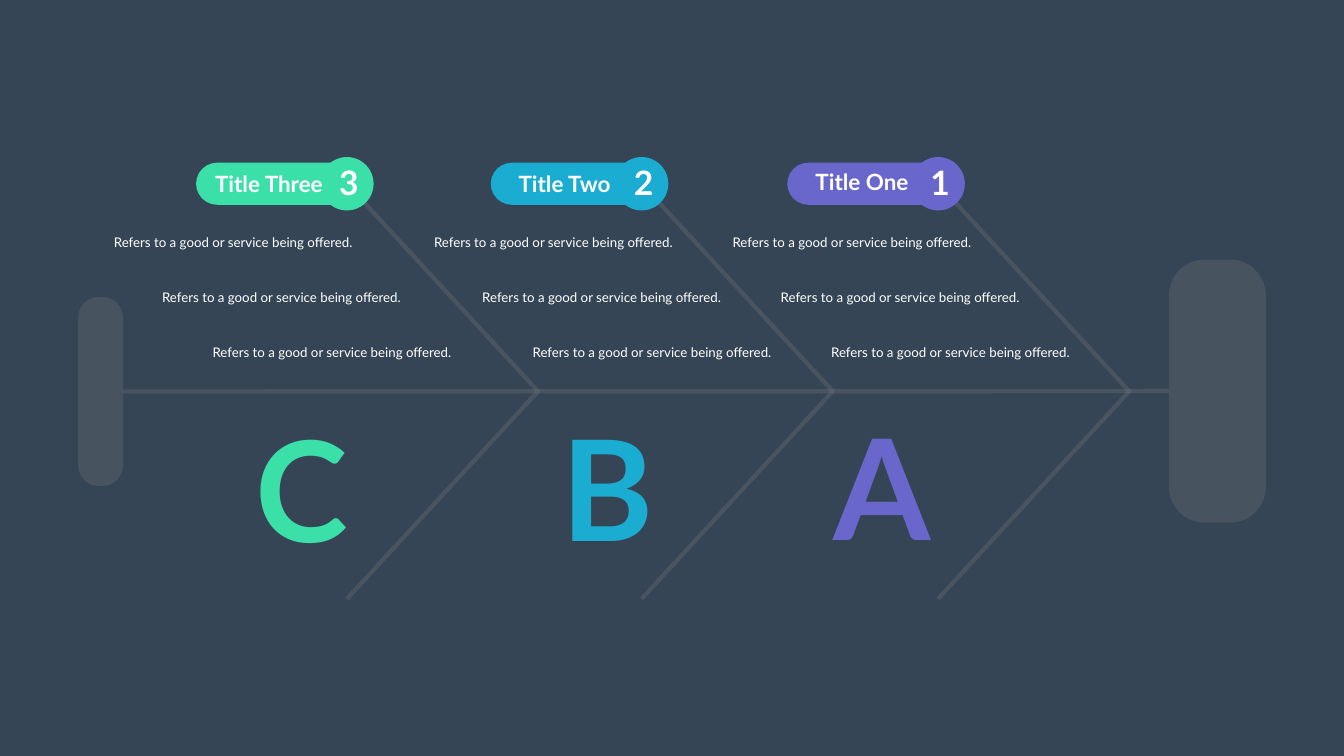
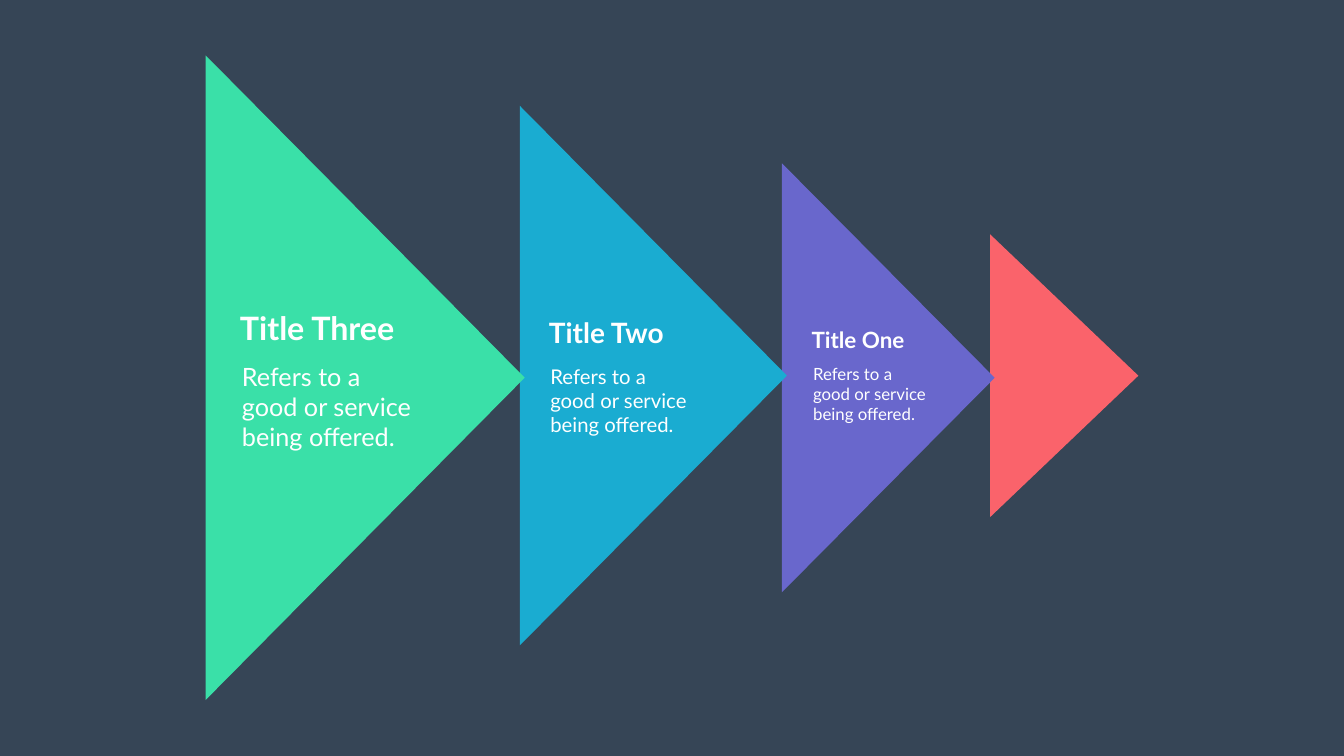
from lxml import etree
from pptx import Presentation
from pptx.dml.color import RGBColor
from pptx.enum.shapes import MSO_CONNECTOR, MSO_SHAPE
from pptx.enum.text import MSO_AUTO_SIZE, PP_ALIGN
from pptx.oxml.ns import qn
from pptx.util import Cm, Pt

STRAIGHT = MSO_CONNECTOR.STRAIGHT
ROUNDED = MSO_SHAPE.ROUNDED_RECTANGLE
OVAL = MSO_SHAPE.OVAL
FIT_TEXT = MSO_AUTO_SIZE.SHAPE_TO_FIT_TEXT
LEFT, CENTER = PP_ALIGN.LEFT, PP_ALIGN.CENTER

NAVY = RGBColor(0x36, 0x45, 0x56)
GREEN = RGBColor(0x3A, 0xE0, 0xA8)
BLUE = RGBColor(0x1A, 0xAC, 0xD1)
PURPLE = RGBColor(0x69, 0x67, 0xCC)
RED = RGBColor(0xFA, 0x63, 0x6B)
GRAY = RGBColor(0x80, 0x80, 0x80)
WHITE = RGBColor(0xFF, 0xFF, 0xFF)
FONT = "Lato"
BONE_OPACITY = 25

NOTE = "Refers to a good or service being offered."

BRANCHES = [
    dict(title="Title Three", number="3", letter="C", color=GREEN, center=17.48,
         title_box=(10.59, 8.46, 6.15, 1.63), notes_left=4.01, letter_at=(12.6, 20.17)),
    dict(title="Title Two", number="2", letter="B", color=BLUE, center=32.33,
         title_box=(25.88, 8.46, 5.46, 1.63), notes_left=20.14, letter_at=(28.04, 20.12)),
    dict(title="Title One", number="1", letter="A", color=PURPLE, center=47.27,
         title_box=(40.84, 8.33, 5.28, 1.63), notes_left=35.18, letter_at=(41.76, 20.07)),
]
NOTE_SHIFTS = (0, 2.43, 4.97)
NOTE_TOP, NOTE_STEP = 11.66, 2.79
SPINE_Y = 19.72
BADGE_Y, BADGE_SIZE = 9.26, 2.69
BONE_WIDTH, BONE_BOTTOM = 9.63, 30.18
TAIL_BOX = (3.94, 14.96, 2.26, 9.53)
HEAD_BOX = (58.9, 13.08, 4.88, 13.26)

TRIANGLES = [
    (RED, (49.89, 11.81, 7.47, 14.25)),
    (PURPLE, (39.4, 8.23, 10.72, 21.62)),
    (BLUE, (26.19, 5.33, 13.46, 27.2)),
    (GREEN, (10.36, 2.79, 16.08, 32.49)),
]
TRIANGLE_TEXTS = [
    ("Title One", 32, (40.64, 16.33, 5.28, 1.63), 24, (40.72, 18.21, 6.4, 3.33)),
    ("Title Two", 40, (27.41, 15.77, 6.55, 1.96), 29, (27.48, 18.21, 7.42, 3.99)),
    ("Title Three", 46, (11.84, 15.42, 8.53, 2.24), 36, (11.94, 18.06, 9.42, 4.88)),
]


def lengths(values):
    return [Cm(value) for value in values]


def add_text(slide, text, box, size, color=WHITE, bold=False, align=LEFT):
    shape = slide.shapes.add_textbox(*lengths(box))
    frame = shape.text_frame
    frame.word_wrap = True
    frame.auto_size = FIT_TEXT
    paragraph = frame.paragraphs[0]
    paragraph.alignment = align
    run = paragraph.add_run()
    run.text = text
    run.font.name = FONT
    run.font.size = Pt(size)
    run.font.bold = bold
    run.font.color.rgb = color


def paint(shape, color):
    shape.shadow.inherit = False
    shape.fill.solid()
    shape.fill.fore_color.rgb = color
    shape.line.fill.background()


def fade(shape):
    for color in shape._element.spPr.iter(qn("a:srgbClr")):
        etree.SubElement(color, qn("a:alpha"), val=str(BONE_OPACITY * 1000))


def style_bone(shape):
    shape.line.color.rgb = GRAY
    shape.line.width = Pt(6)
    fade(shape)


def add_preset(slide, kind, box, color, roundness=None):
    shape = slide.shapes.add_shape(kind, *lengths(box))
    if roundness is not None:
        shape.adjustments[0] = roundness
    paint(shape, color)
    return shape


def add_outline(slide, points, close):
    start, *others = [lengths(point) for point in points]
    builder = slide.shapes.build_freeform(*start)
    builder.add_line_segments(others, close=close)
    return builder.convert_to_shape()


def add_bone(slide, center):
    points = [(center, BADGE_Y), (center + BONE_WIDTH, SPINE_Y), (center, BONE_BOTTOM)]
    bone = add_outline(slide, points, close=False)
    bone.shadow.inherit = False
    bone.fill.background()
    style_bone(bone)


def add_triangle(slide, color, box):
    left, top, width, height = box
    points = [(left, top), (left, top + height), (left + width, top + height / 2)]
    paint(add_outline(slide, points, close=True), color)


def build_fishbone(slide):
    spine = slide.shapes.add_connector(
        STRAIGHT, *lengths((TAIL_BOX[0] + TAIL_BOX[2], SPINE_Y, HEAD_BOX[0], SPINE_Y)))
    style_bone(spine)
    etree.SubElement(spine._element.spPr, qn("a:effectLst"))

    for branch in BRANCHES:
        add_preset(slide, ROUNDED, (branch["center"] - 7.6, 8.2, 7.98, 2.12),
                   branch["color"], roundness=0.5)
    for branch in BRANCHES:
        add_bone(slide, branch["center"])
    for branch in BRANCHES:
        corner = (branch["center"] - BADGE_SIZE / 2, BADGE_Y - BADGE_SIZE / 2)
        add_preset(slide, OVAL, (*corner, BADGE_SIZE, BADGE_SIZE), branch["color"])

    tail = add_preset(slide, ROUNDED, TAIL_BOX, GRAY, roundness=0.46)
    head = add_preset(slide, ROUNDED, HEAD_BOX, GRAY, roundness=0.37)
    fade(tail)
    fade(head)
    spine.begin_connect(tail, 3)
    spine.end_connect(head, 1)

    for branch in BRANCHES:
        add_text(slide, branch["number"], (branch["center"] - 0.64, 8.05, 1.98, 2.31),
                 48, bold=True)
        add_text(slide, branch["title"], branch["title_box"], 32, bold=True)
        for row, shift in enumerate(NOTE_SHIFTS):
            box = (branch["notes_left"] + shift, NOTE_TOP + row * NOTE_STEP, 15.49, 1.07)
            add_text(slide, NOTE, box, 19, align=CENTER)
        add_text(slide, branch["letter"], (*branch["letter_at"], 6.15, 8.81),
                 200, color=branch["color"], bold=True)


def build_triangles(slide):
    for color, box in TRIANGLES:
        add_triangle(slide, color, box)
    for title, title_size, title_box, note_size, note_box in TRIANGLE_TEXTS:
        add_text(slide, title, title_box, title_size, bold=True)
        add_text(slide, NOTE, note_box, note_size)


def main():
    presentation = Presentation()
    presentation.slide_width = Cm(67.72)
    presentation.slide_height = Cm(38.1)
    background = presentation.slide_master.background.fill
    background.solid()
    background.fore_color.rgb = NAVY
    blank_layout = presentation.slide_layouts[6]
    for build in (build_fishbone, build_triangles):
        build(presentation.slides.add_slide(blank_layout))
    presentation.save("out.pptx")


if __name__ == "__main__":
    main()
